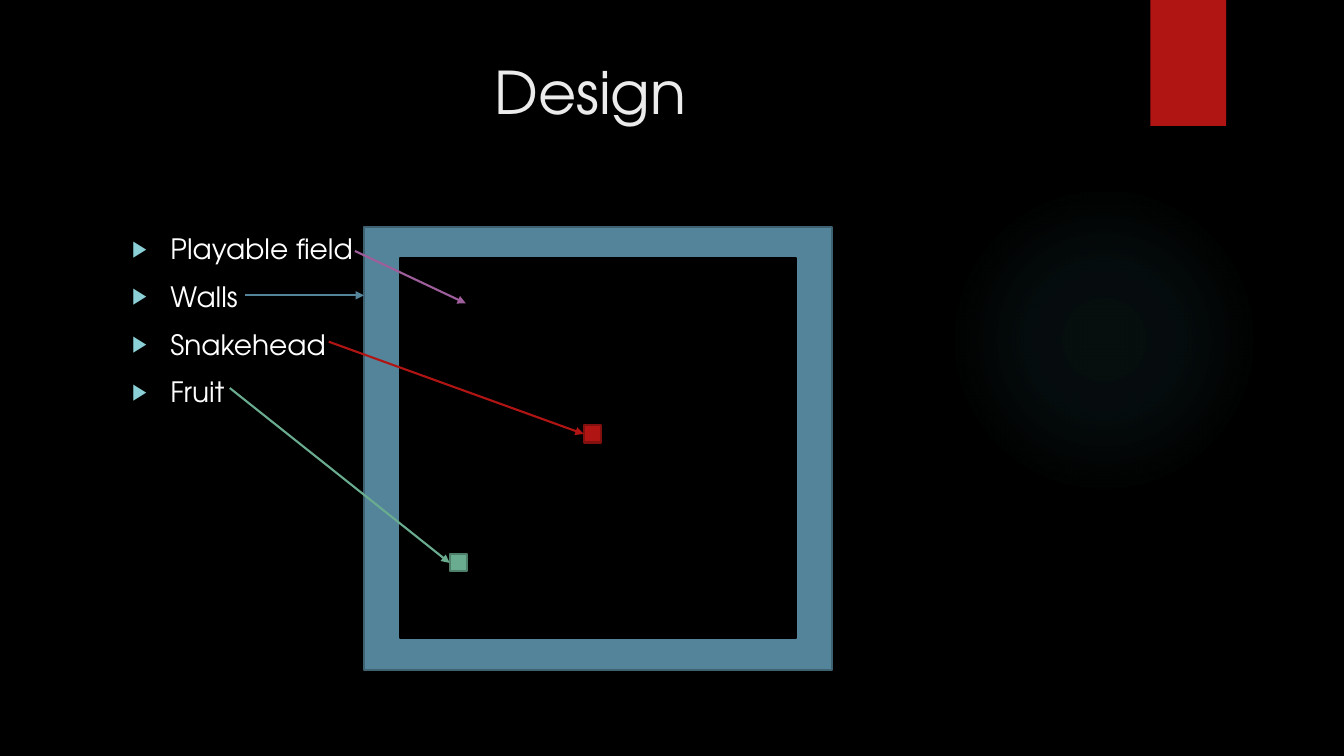
from lxml.etree import SubElement
from pptx import Presentation
from pptx.dml.color import RGBColor
from pptx.enum.shapes import MSO_CONNECTOR, MSO_SHAPE
from pptx.enum.text import MSO_ANCHOR, MSO_AUTO_SIZE, PP_ALIGN
from pptx.oxml import parse_xml
from pptx.oxml.ns import nsdecls, qn
from pptx.util import Inches, Pt

LEFT = 1  # connection site on a rectangle's left side


def paint(color):
    return RGBColor.from_string(color)


class Board:
    """Places elements by percent of the slide's width and height."""

    font = "TeX Gyre Adventor"
    stroke = Pt(1.5)

    def __init__(self, deck, back):
        self.wide, self.high = deck.slide_width, deck.slide_height
        self.slide = deck.slides.add_slide(deck.slide_layouts[1])
        self.shapes = self.slide.shapes
        fill = self.slide.background.fill
        fill.solid()
        fill.fore_color.rgb = paint(back)

    def spot(self, x, y):
        return round(self.wide * x / 100), round(self.high * y / 100)

    def fit(self, holder, box, lines, size, color):
        holder.left, holder.top = self.spot(*box[:2])
        holder.width, holder.height = self.spot(*box[2:])
        frame = holder.text_frame
        frame.text = "\n".join(lines)
        frame.word_wrap = True
        frame.auto_size = MSO_AUTO_SIZE.NONE
        frame.vertical_anchor = MSO_ANCHOR.TOP
        for para in frame.paragraphs:
            for run in para.runs:
                run.font.name = self.font
                run.font.size = Pt(size)
                run.font.color.rgb = paint(color)
        return frame.paragraphs

    def title(self, box, text):
        para, = self.fit(self.shapes.title, box, [text], 42, "EBEBEB")
        para.alignment = PP_ALIGN.CENTER

    def bullets(self, box, lines):
        body = self.slide.placeholders[1]
        for para in self.fit(body, box, lines, 20, "FFFFFF"):
            para.alignment = PP_ALIGN.LEFT
            para.space_before = Pt(10)
            props = para._p.get_or_add_pPr()
            props.set("marL", str(Inches(0.38)))
            props.set("indent", str(-Inches(0.38)))
            tint = SubElement(props, qn("a:buClr"))
            SubElement(tint, qn("a:srgbClr"), val="8AD0D6")
            SubElement(props, qn("a:buSzPct"), val="80000")
            SubElement(props, qn("a:buChar"), char="▶")

    def block(self, box, color, edge=None, kind=MSO_SHAPE.RECTANGLE):
        shape = self.shapes.add_shape(kind, *self.spot(*box[:2]), *self.spot(*box[2:]))
        shape.shadow.inherit = False
        shape.fill.solid()
        shape.fill.fore_color.rgb = paint(color)
        if edge:
            shape.line.color.rgb = paint(edge)
            shape.line.width = self.stroke
        else:
            shape.line.fill.background()
        return shape

    def glow(self, box, color, stops):
        shape = self.block(box, color, kind=MSO_SHAPE.OVAL)
        marks = "".join(
            f'<a:gs pos="{pos * 1000}"><a:srgbClr val="{color}">'
            f'<a:alpha val="{alpha * 1000}"/></a:srgbClr></a:gs>'
            for pos, alpha in stops)
        grad = parse_xml(
            f'<a:gradFill {nsdecls("a")} rotWithShape="1"><a:gsLst>{marks}</a:gsLst>'
            '<a:path path="circle"><a:fillToRect l="50000" t="50000" r="50000" b="50000"/>'
            '</a:path></a:gradFill>')
        props = shape._element.spPr
        props.replace(props.find(qn("a:solidFill")), grad)

    def arrow(self, start, color, end=None, goal=None):
        tip = self.spot(*(end or start))
        link = self.shapes.add_connector(MSO_CONNECTOR.STRAIGHT, *self.spot(*start), *tip)
        if goal is not None:
            link.end_connect(goal, LEFT)
        link.line.color.rgb = paint(color)
        link.line.width = self.stroke
        SubElement(link.line._get_or_add_ln(), qn("a:tailEnd"), type="triangle")
        SubElement(link._element.spPr, qn("a:effectLst"))


def main():
    deck = Presentation()
    deck.slide_width, deck.slide_height = Inches(13.33), Inches(7.5)
    board = Board(deck, "000000")

    # Backdrop
    board.glow((70.59, 24.4, 23.1, 41.07), "50B9C1", [(0, 7), (36, 6), (69, 0), (100, 0)])
    board.block((85.6, 0, 5.63, 16.67), "B01513")

    # Title and list
    board.title((5.33, 6.67, 77.2, 20.4), "Design")
    board.bullets((9.08, 30, 73.37, 61.2),
                  ["Playable field", "Walls", "Snakehead", "Fruit"])

    # Game board
    board.block((27.08, 30, 34.8, 58.67), "54849A", "3E6272")
    board.block((29.78, 34.13, 29.48, 50.27), "000000", "000000")
    cell = (1.28, 2.27)
    head = board.block((43.43, 56.27, *cell), "B01513", "82100E")
    fruit = board.block((33.46, 73.33, *cell), "6AAC90", "4E7F6B")

    # Arrows from the list to the board
    board.arrow((26.41, 33.2), "9E5E9B", end=(34.66, 40.13))
    board.arrow((18.23, 39.07), "54849A", end=(27.08, 39.07))
    board.arrow((24.46, 45.2), "B01513", goal=head)
    board.arrow((17.1, 51.33), "6AAC90", goal=fruit)

    deck.save("out.pptx")


if __name__ == "__main__":
    main()
